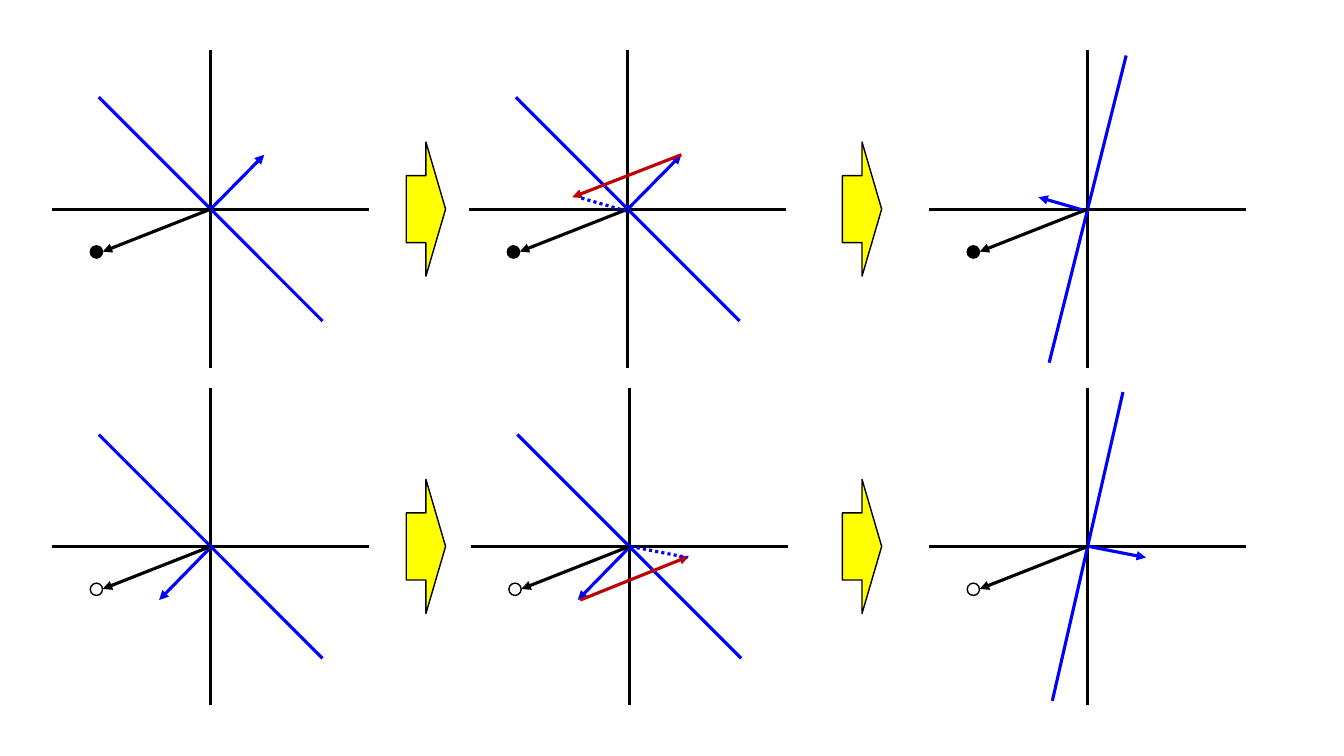
from lxml import etree
from pptx import Presentation
from pptx import util as u
from pptx.dml.color import RGBColor
from pptx.enum import dml, shapes
from pptx.oxml.ns import qn

COLORS = {"axis": "000000", "weight": "0000FF", "update": "C00000",
          "step": "FFFF00", "positive": "000000", "negative": "FFFFFF"}

AXIS, DOT = 4.0, 0.31
DOT_CENTER = (-2.88, 1.08)
STEP_W, STEP_H = 0.99, 3.38
STEP_LEFTS = [10.24, 21.23]

AXES = [("axis", (0, -AXIS), (0, AXIS), ""),
        ("axis", (-AXIS, 0), (AXIS, 0), "")]
INPUT = ("axis", (0, 0), (-2.72, 1.07), "arrow")
BOUNDARY = ("weight", (-2.82, -2.82), (2.82, 2.82), "")

ROWS = [
    {"y": 5.27, "class": "positive", "centers": [5.31, 15.82, 27.41],
     "weight": ((0, 0), (1.35, -1.37)),
     "update": ((1.35, -1.37), (-1.4, -0.3)),
     "result": ((-0.03, 0.05), (-1.24, -0.3)),
     "tilt": (0.97, -3.87)},
    {"y": 13.77, "class": "negative", "centers": [5.31, 15.86, 27.41],
     "weight": ((0.05, -0.03), (-1.3, 1.35)),
     "update": ((-1.24, 1.35), (1.5, 0.25)),
     "result": ((0.03, 0), (1.47, 0.28)),
     "tilt": (0.89, -3.89)},
]


def rgb(name):
    return RGBColor.from_string(COLORS[name])


def add_line(shape_list, center, color, start, end, style):
    ends = [u.Cm(c + d) for point in (start, end) for c, d in zip(center, point)]
    cn = shape_list.add_connector(shapes.MSO_CONNECTOR.STRAIGHT, *ends)
    cn.line.color.rgb = rgb(color)
    cn.line.width = u.Pt(2.25)
    if style == "dotted":
        cn.line.dash_style = dml.MSO_LINE.ROUND_DOT
    if style == "arrow":
        etree.SubElement(cn.line._get_or_add_ln(), qn("a:tailEnd"), type="triangle")
    etree.SubElement(cn._element.spPr, qn("a:effectLst"))


def add_outlined(shape_list, kind, center, width, height, fill):
    x, y = center
    sp = shape_list.add_shape(kind, u.Cm(x - width / 2), u.Cm(y - height / 2),
                              u.Cm(width), u.Cm(height))
    sp.shadow.inherit = False
    sp.fill.solid()
    sp.fill.fore_color.rgb = rgb(fill)
    sp.line.color.rgb = rgb("axis")
    sp.line.width = u.Pt(1)


def add_panel(s, center, lines, fill):
    panel = s.shapes.add_group_shape().shapes
    for line in AXES + lines[:2]:
        add_line(panel, center, *line)
    dot = [c + d for c, d in zip(center, DOT_CENTER)]
    add_outlined(panel, shapes.MSO_SHAPE.OVAL, dot, DOT, DOT, fill)
    for line in [INPUT] + lines[2:]:
        add_line(panel, center, *line)


def main():
    prs = Presentation()
    prs.slide_width, prs.slide_height = u.Cm(33.87), u.Cm(19.05)
    s = prs.slides.add_slide(prs.slide_layouts[6])
    for row in ROWS:
        before = [BOUNDARY, ("weight", *row["weight"], "arrow")]
        change = [("update", *row["update"], "arrow"),
                  ("weight", *row["result"], "dotted")]
        x, y = row["tilt"]
        after = [("weight", (x, y), (-x, -y), ""),
                 ("weight", *row["result"], "arrow")]
        for cx, lines in zip(row["centers"], [before, before + change, after]):
            add_panel(s, (cx, row["y"]), lines, row["class"])
        for left in STEP_LEFTS:
            add_outlined(s.shapes, shapes.MSO_SHAPE.RIGHT_ARROW,
                         (left + STEP_W / 2, row["y"]), STEP_W, STEP_H, "step")
    prs.save("out.pptx")


if __name__ == "__main__":
    main()
